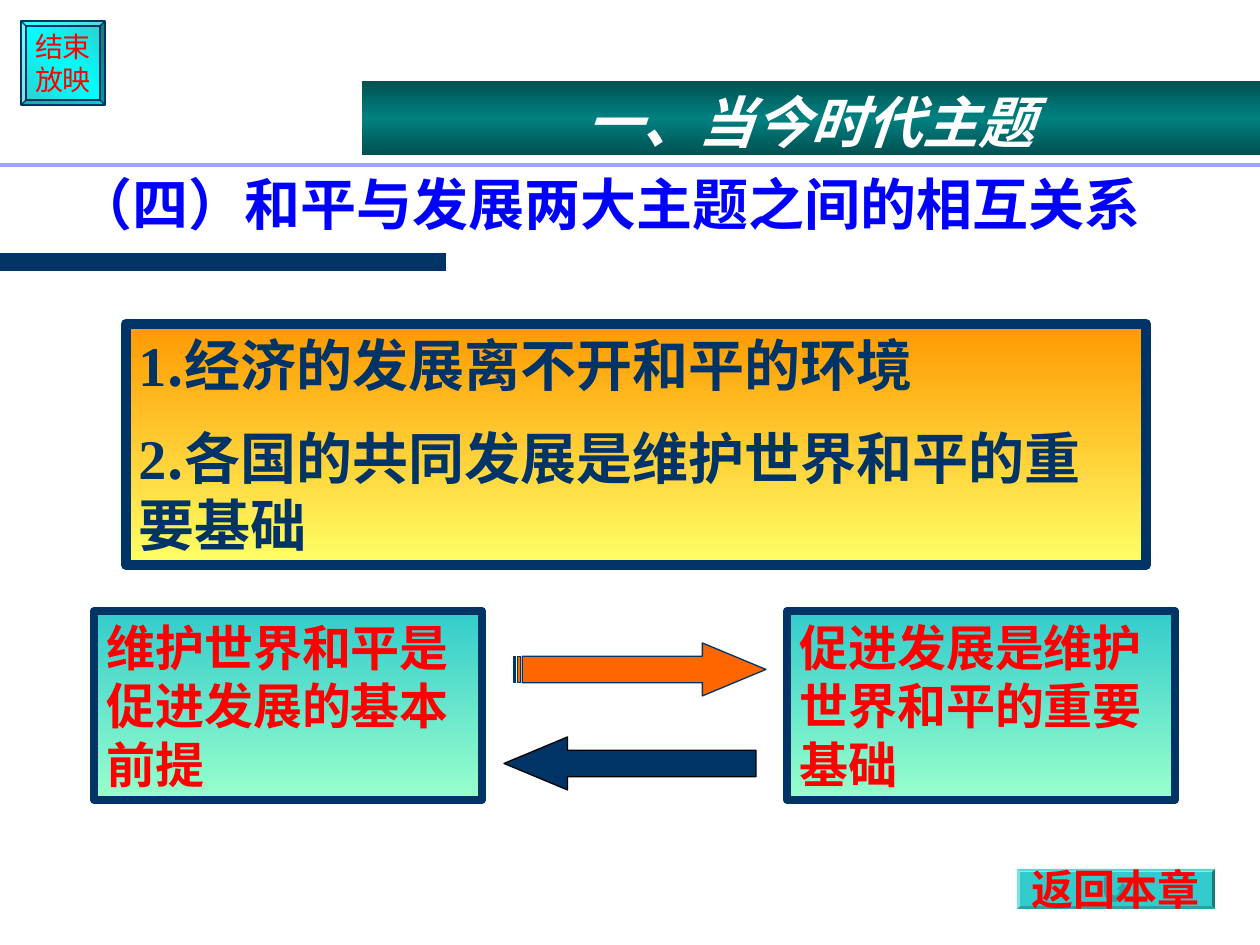
from lxml import etree
from pptx import Presentation
from pptx.dml.color import RGBColor
from pptx.enum.shapes import MSO_CONNECTOR, MSO_SHAPE
from pptx.enum.text import MSO_ANCHOR, MSO_AUTO_SIZE, PP_ALIGN
from pptx.oxml.ns import qn
from pptx.util import Emu, Pt

RECT, BEVEL = MSO_SHAPE.RECTANGLE, MSO_SHAPE.BEVEL
STRIPED_ARROW, LEFT_ARROW = MSO_SHAPE.STRIPED_RIGHT_ARROW, MSO_SHAPE.LEFT_ARROW
U_TURN = MSO_SHAPE.U_TURN_ARROW
STRAIGHT = MSO_CONNECTOR.STRAIGHT
TOP, MIDDLE, BOTTOM = MSO_ANCHOR.TOP, MSO_ANCHOR.MIDDLE, MSO_ANCHOR.BOTTOM
LEFT, CENTER = PP_ALIGN.LEFT, PP_ALIGN.CENTER

THEME = {
    "navy": "003366", "blue": "0000FF", "red": "FF0000", "white": "FFFFFF",
    "black": "000000", "orange": "FF6600", "teal": "33CCCC", "icon": "29A3A3",
    "rule": "9BA4FD",
    "banner": [(0, "005151"), (50, "008080"), (100, "005151")],
    "button": [(0, "33CCCC"), (50, "00FFFF"), (100, "33CCCC")],
    "points": [(0, "FF9900"), (100, "FFFF66")],
    "claim": [(0, "33CCCC"), (100, "99FFCC")],
    "sans": "Arial", "serif": "Times New Roman", "chinese": "Noto Sans CJK SC",
    "large": 32, "medium": 28, "label": 24, "small": 16,
}

BANNER = "一、当今时代主题"
TITLE = "（四）和平与发展两大主题之间的相互关系"
POINTS = [
    ("1", ".经济的发展离不开和平的环境"),
    ("2", ".各国的共同发展是维护世界和平的重要基础"),
]
CLAIMS = ["维护世界和平是促进发展的基本前提", "促进发展是维护世界和平的重要基础"]
END_BUTTON = ["结束", "放映"]
RETURN_BUTTON = "返回本章"

CLAIM_LEFT, CLAIM_STEP = 94, 693
ARROWS = [
    (STRIPED_ARROW, (514, 643, 252, 53), "orange", "navy"),
    (LEFT_ARROW, (504, 737, 252, 53), "navy", "black"),
]
RULES = [((0, 262, 446, 262), "navy", 10), ((0, 165, 1260, 165), "rule", 1.75)]


def px(value):
    return Emu(round(value * 914400 / 126))


def color(name):
    return RGBColor.from_string(THEME[name])


def add_rule(page, ends, name, width):
    rule = page.shapes.add_connector(STRAIGHT, *map(px, ends))
    rule.line.color.rgb = color(name)
    rule.line.width = Pt(width)
    etree.SubElement(rule._element.spPr, qn("a:effectLst"))


def paint_gradient(shape, stops, angle):
    shape.fill.gradient()
    shape.fill.gradient_angle = 360 - angle
    stop_list = shape._element.spPr.find(qn("a:gradFill")).find(qn("a:gsLst"))
    for stop in list(stop_list):
        stop_list.remove(stop)
    for position, value in stops:
        stop = etree.SubElement(stop_list, qn("a:gs"), pos=str(position * 1000))
        etree.SubElement(stop, qn("a:srgbClr"), val=value)


def add_shape(page, kind, place, fill, line=None, width=0.75, angle=90):
    shape = page.shapes.add_shape(kind, *map(px, place))
    shape.shadow.inherit = False
    if isinstance(THEME[fill], list):
        paint_gradient(shape, THEME[fill], angle)
    else:
        shape.fill.solid()
        shape.fill.fore_color.rgb = color(fill)
    if line:
        shape.line.color.rgb = color(line)
        shape.line.width = Pt(width)
    else:
        shape.line.fill.background()
    return shape


def add_span(para, text, font, size, ink, bold, italic):
    span = para.add_run()
    span.text = text
    span.font.name = THEME[font]
    span.font.size = Pt(THEME[size])
    span.font.bold, span.font.italic = bold, italic
    span.font.color.rgb = color(ink)
    if font == "chinese":
        etree.SubElement(span._r.rPr, qn("a:ea"), typeface=THEME[font])


def write(box, lines, font="sans", size="large", ink="red", bold=True, italic=False,
          align=LEFT, anchor=TOP, wrap=True, spacing=None, gap=0):
    frame = box.text_frame
    frame.auto_size = MSO_AUTO_SIZE.NONE
    frame.word_wrap = wrap
    frame.vertical_anchor = anchor
    for index, line in enumerate(lines):
        para = frame.add_paragraph() if index else frame.paragraphs[0]
        para.alignment = align
        if spacing:
            para.line_spacing = spacing
        if index and gap:
            para.space_before = Pt(gap)
        spans = [(font, line)] if isinstance(line, str) else zip(("serif", "chinese"), line)
        for face, text in spans:
            add_span(para, text, face, size, ink, bold, italic)


def main():
    deck = Presentation()
    deck.slide_width, deck.slide_height = px(1260), px(945)
    page = deck.slides.add_slide(deck.slide_layouts[5])

    title = page.shapes.title
    title.left, title.top, title.width, title.height = map(px, (64, 107, 1167, 137))
    write(title, [TITLE], font="chinese", ink="blue", anchor=BOTTOM, spacing=0.9)

    for ends, name, width in RULES:
        add_rule(page, ends, name, width)

    end_button = add_shape(page, BEVEL, (21, 21, 84, 84), "button", "navy", angle=135)
    end_button.adjustments[0] = 0.06
    write(end_button, END_BUTTON, size="small", bold=False, align=CENTER,
          anchor=MIDDLE, wrap=False)

    banner = add_shape(page, RECT, (362, 81, 898, 74), "banner")
    write(banner, [BANNER], ink="white", italic=True, align=CENTER)

    points = add_shape(page, RECT, (126, 324, 1020, 241), "points", "navy", 6)
    write(points, POINTS, ink="navy", gap=15)

    for index, claim in enumerate(CLAIMS):
        place = (CLAIM_LEFT + index * CLAIM_STEP, 611, 388, 189)
        box = add_shape(page, RECT, place, "claim", "navy", 4.5)
        write(box, [claim], size="medium")

    for kind, place, fill, line in ARROWS:
        arrow = add_shape(page, kind, place, fill, line)
        arrow.adjustments[0], arrow.adjustments[1] = 0.5, 1.2

    return_place = (1017, 869, 198, 40)
    return_button = add_shape(page, BEVEL, return_place, "teal")
    return_button.adjustments[0] = 0.07
    icon = add_shape(page, U_TURN, (1104, 877, 25, 25), "icon")
    icon._element.spPr.find(qn("a:xfrm")).set("flipV", "1")
    label = page.shapes.add_textbox(*map(px, return_place))
    write(label, [RETURN_BUTTON], size="label", align=CENTER, anchor=MIDDLE, wrap=False)

    deck.save("out.pptx")


if __name__ == "__main__":
    main()
